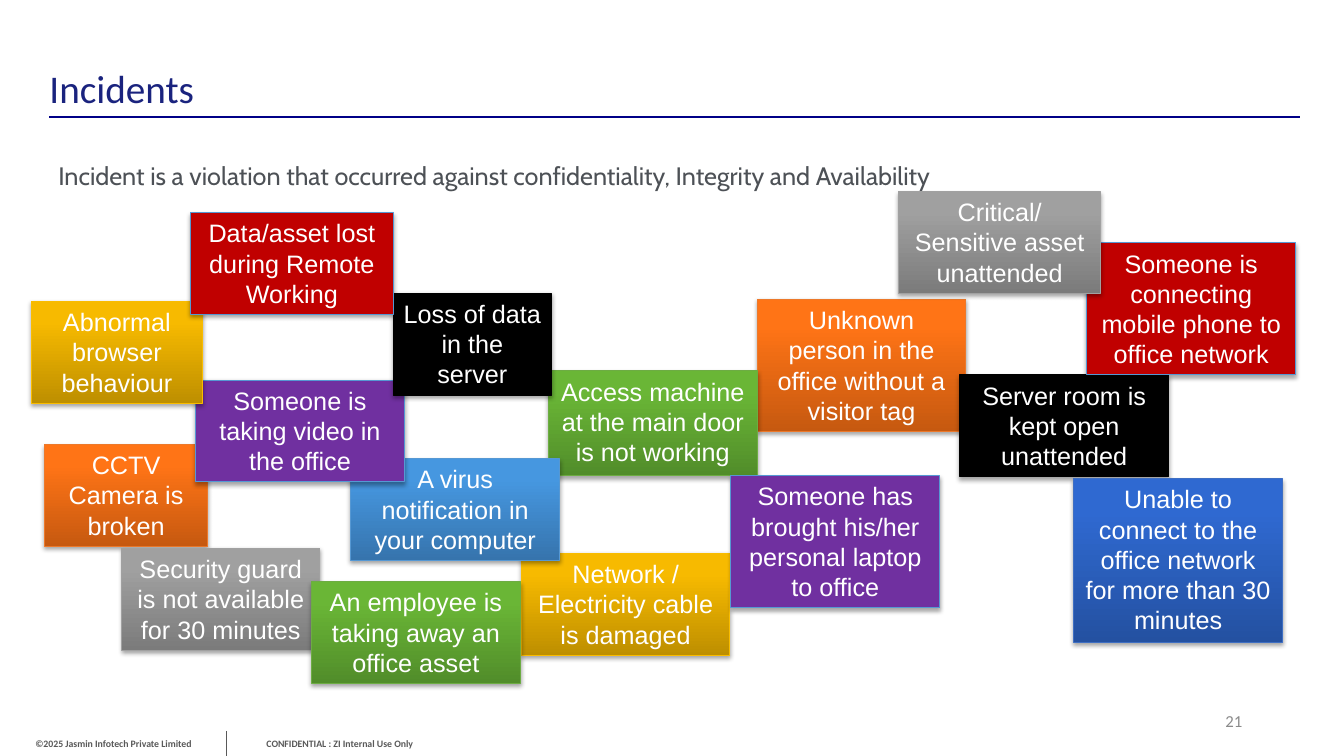
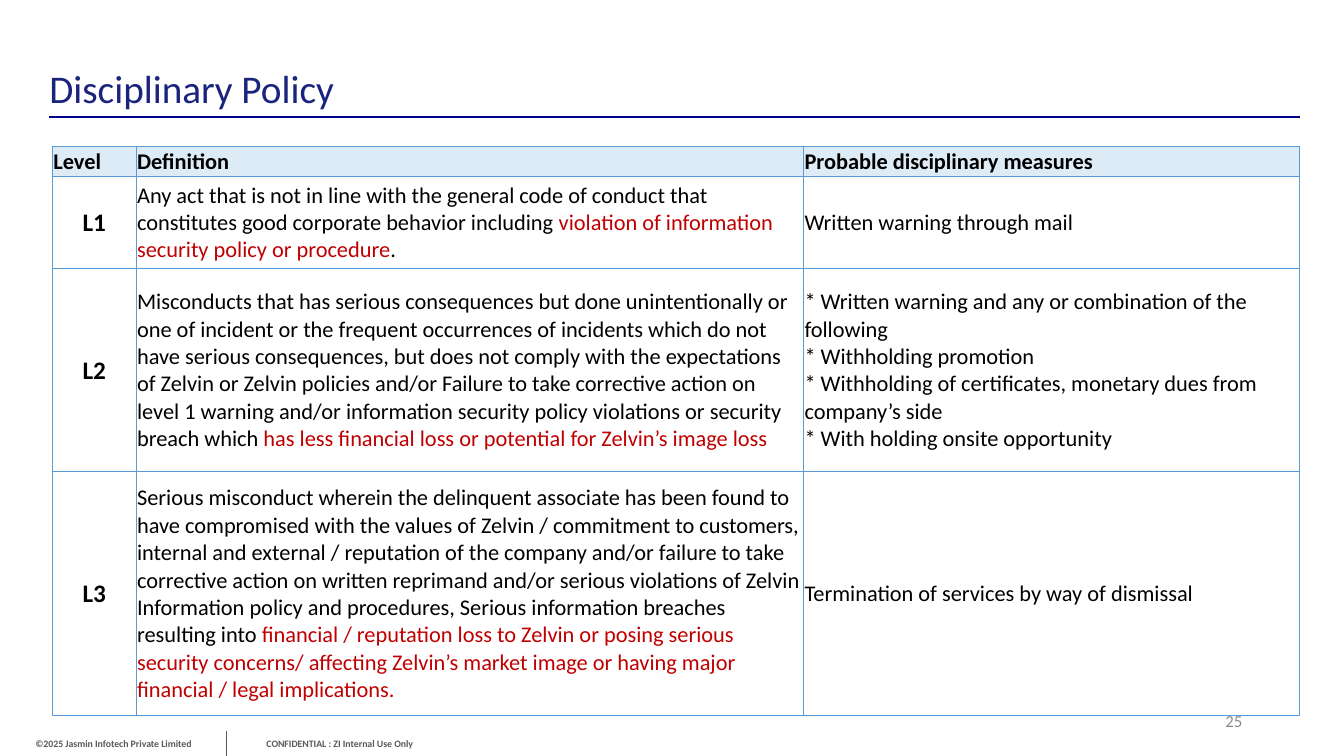
import dataclasses

import lxml.etree
import pptx
import pptx.dml.color
import pptx.enum.shapes
import pptx.enum.text
import pptx.oxml
import pptx.oxml.ns
import pptx.util

Inches = pptx.util.Inches
ALIGN = pptx.enum.text.PP_ALIGN
ANCHOR = pptx.enum.text.MSO_ANCHOR
AUTO_SIZE = pptx.enum.text.MSO_AUTO_SIZE
RECTANGLE = pptx.enum.shapes.MSO_SHAPE.RECTANGLE
STRAIGHT = pptx.enum.shapes.MSO_CONNECTOR.STRAIGHT


@dataclasses.dataclass(frozen=True)
class Theme:
    heading_font: str = "Calibri"
    lead_font: str = "Cabin"
    tile_font: str = "Arial"
    title_size: float = 28
    body_size: float = 18
    table_size: float = 16
    number_size: float = 12
    footer_size: float = 7
    title: str = "1A237E"
    rule: str = "000087"
    lead: str = "4D5156"
    footer: str = "595959"
    number: str = "8B8B8B"
    text: str = "000000"
    light: str = "FFFFFF"
    warning: str = "C00000"
    grid: str = "5B9BD5"
    header_fill: str = "DDEBF7"


THEME = Theme()

# Tile style: bottom colour, top colour, outline
TILE_STYLES = {
    "orange": ("C65910", "FF7416", "EC792B"),
    "grey": ("7B7B7B", "A0A0A0", "A1A1A1"),
    "green": ("518D2A", "6AB636", "6DAC43"),
    "gold": ("BE8F00", "F7BA00", "F9BC00"),
    "sky": ("3674AD", "4697E0", "5698D3"),
    "blue": ("2451A1", "2F69D1", "3F6FC3"),
    "black": ("000000", "000000", "000000"),
    "purple": ("7030A0", "7030A0", "5698D3"),
    "red": ("C00000", "C00000", "5698D3"),
}

# Tile: style, left, top, width, height, text; later tiles lie on top
INCIDENTS = [
    ("orange", 0.44, 4.41, 1.62, 1.01, "CCTV Camera is broken"),
    ("grey", 1.21, 5.44, 1.96, 1.01, "Security guard is not available for 30 minutes"),
    ("orange", 7.51, 2.97, 2.07, 1.31, "Unknown person in the office without a visitor tag"),
    ("green", 5.44, 3.68, 2.07, 1.04, "Access machine at the main door is not working"),
    ("black", 9.52, 3.72, 2.07, 1.01, "Server room is kept open unattended"),
    ("gold", 5.17, 5.49, 2.07, 1.01, "Network / Electricity cable is damaged"),
    ("sky", 3.48, 4.55, 2.07, 1.01, "A virus notification in your computer"),
    ("blue", 10.65, 4.75, 2.07, 1.62,
     "Unable to connect to the office network for more than 30 minutes"),
    ("purple", 1.94, 3.77, 2.07, 1.01, "Someone is taking video in the office"),
    ("red", 10.78, 2.41, 2.07, 1.31, "Someone is connecting mobile phone to office network"),
    ("purple", 7.25, 4.72, 2.07, 1.31, "Someone has brought his/her personal laptop to office"),
    ("green", 3.09, 5.77, 2.07, 1.01, "An employee is taking away an office asset"),
    ("gold", 0.31, 2.99, 1.7, 1.01, "Abnormal browser behaviour"),
    ("black", 3.9, 2.91, 1.57, 1.01, "Loss of data in the server"),
    ("red", 1.89, 2.11, 2.01, 1.01, "Data/asset lost during Remote Working"),
    ("grey", 8.91, 1.9, 2.01, 1.01, "Critical/ Sensitive asset unattended"),
]

POLICY_HEADER = ("Level", "Definition", "Probable disciplinary measures")

# Level, definition as (plain, warning, plain) spans, measures
POLICY_LEVELS = [
    ("L1",
     ("Any act that is not in line with the general code of conduct that constitutes good "
      "corporate behavior including ",
      "violation of information security policy or procedure",
      "."),
     ["Written warning through mail"]),
    ("L2",
     ("Misconducts that has serious consequences but done unintentionally or one of incident "
      "or the frequent occurrences of incidents which do not have serious consequences, but "
      "does not comply with the expectations of Zelvin or Zelvin policies and/or Failure to "
      "take corrective action on level 1 warning and/or information security policy "
      "violations or security breach which ",
      "has less financial loss or potential for Zelvin’s image loss"),
     ["* Written warning and any or combination of the following",
      "* Withholding promotion",
      "* Withholding of certificates, monetary dues from company’s side",
      "* With holding onsite opportunity"]),
    ("L3",
     ("Serious misconduct wherein the delinquent associate has been found to have compromised "
      "with the values of Zelvin / commitment to customers, internal and external / reputation "
      "of the company and/or failure to take corrective action on written reprimand and/or "
      "serious violations of Zelvin Information policy and procedures, Serious information "
      "breaches resulting into ",
      "financial / reputation loss to Zelvin or posing serious security concerns/ affecting "
      "Zelvin’s market image or having major financial / legal implications."),
     ["Termination of services by way of dismissal"]),
]


def color(value):
    return pptx.dml.color.RGBColor.from_string(value)


def set_font(para, name, size, shade, bold=False, align=ALIGN.LEFT):
    para.alignment = align
    para.font.name = name
    para.font.size = pptx.util.Pt(size)
    para.font.color.rgb = color(shade)
    para.font.bold = bold


def set_effects(shape, shadow=False):
    """Give the shape its own effect list, either empty or with a soft drop shadow."""
    effects = lxml.etree.SubElement(
        shape.element.spPr, pptx.oxml.ns.qn("a:effectLst"))
    if shadow:
        effects.append(pptx.oxml.parse_xml(
            f'<a:outerShdw {pptx.oxml.ns.nsdecls("a")} blurRad="40000" dist="23000" '
            'dir="5400000" rotWithShape="0"><a:srgbClr val="000000">'
            '<a:alpha val="35000"/></a:srgbClr></a:outerShdw>'))


def add_text(page, area, text, name, size, shade, anchor=ANCHOR.MIDDLE, **style):
    box = page.shapes.add_textbox(*map(Inches, area))
    frame = box.text_frame
    frame.word_wrap = True
    frame.vertical_anchor = anchor
    frame.text = text
    set_font(frame.paragraphs[0], name, size, shade, **style)
    return box


def add_rule(page, ends, shade, width):
    rule = page.shapes.add_connector(STRAIGHT, *map(Inches, ends))
    rule.line.color.rgb = color(shade)
    rule.line.width = pptx.util.Pt(width)
    set_effects(rule)
    return rule


def furnish_layout(layout, page):
    """Draw the shared footer and title rule on the page, then move them to its layout."""
    footer = (THEME.heading_font, THEME.footer_size, THEME.footer)
    parts = [
        add_text(page, (2.08, 7.27, 2.58, 0.21), "CONFIDENTIAL : ZI Internal Use Only",
                 *footer, bold=True, align=ALIGN.CENTER),
        add_text(page, (0, 7.27, 2.25, 0.22), "©2025 Jasmin Infotech Private Limited",
                 *footer, bold=True, align=ALIGN.CENTER),
        add_rule(page, (2.25, 7.25, 2.25, 7.5), THEME.footer, 0.75),
        add_rule(page, (0.49, 1.16, 12.89, 1.16), THEME.rule, 1.5),
    ]
    for number, part in enumerate(parts, start=101):
        part.element.xpath(".//p:cNvPr")[0].set("id", str(number))
        layout.shapes.element.append(part.element)


def add_page(deck, layout, title, number):
    page = deck.slides.add_slide(layout)
    box = page.shapes.title
    box.left, box.top, box.width, box.height = map(Inches, (0.39, 0.59, 6.66, 0.57))
    frame = box.text_frame
    frame.text = title
    frame.vertical_anchor = ANCHOR.TOP
    frame.auto_size = AUTO_SIZE.SHAPE_TO_FIT_TEXT
    set_font(frame.paragraphs[0], THEME.heading_font, THEME.title_size, THEME.title)
    add_text(page, (9.42, 6.95, 3, 0.4), str(number), THEME.heading_font,
             THEME.number_size, THEME.number, align=ALIGN.RIGHT)
    return page


def add_tile(page, style, left, top, width, height, text):
    bottom_shade, top_shade, outline = TILE_STYLES[style]
    tile = page.shapes.add_shape(RECTANGLE, *map(Inches, (left, top, width, height)))
    if bottom_shade == top_shade:
        tile.fill.solid()
        tile.fill.fore_color.rgb = color(top_shade)
    else:
        tile.fill.gradient()
        tile.fill.gradient_angle = 90
        stops = tile.fill.gradient_stops
        for stop, shade, position in zip(stops, (bottom_shade, top_shade), (0, 0.8)):
            stop.color.rgb = color(shade)
            stop.position = position
    tile.line.color.rgb = color(outline)
    tile.line.width = pptx.util.Pt(0.75)
    set_effects(tile, shadow=True)
    frame = tile.text_frame
    frame.word_wrap = True
    frame.vertical_anchor = ANCHOR.TOP
    frame.text = text
    set_font(frame.paragraphs[0], THEME.tile_font, THEME.body_size, THEME.light,
             align=ALIGN.CENTER)


def fill_incidents(page):
    add_text(page, (0.48, 1.54, 8.94, 0.4),
             "Incident is a violation that occurred against confidentiality, "
             "Integrity and Availability",
             THEME.lead_font, THEME.body_size, THEME.lead, anchor=ANCHOR.TOP)
    for incident in INCIDENTS:
        add_tile(page, *incident)


def format_cell(cell, fill=None):
    properties = cell._tc.get_or_add_tcPr()
    for side in "LRTB":
        properties.append(pptx.oxml.parse_xml(
            f'<a:ln{side} {pptx.oxml.ns.nsdecls("a")} w="6350"><a:solidFill>'
            f'<a:srgbClr val="{THEME.grid}"/></a:solidFill></a:ln{side}>'))
    if fill:
        cell.fill.solid()
        cell.fill.fore_color.rgb = color(fill)
    else:
        cell.fill.background()
    cell.vertical_anchor = ANCHOR.MIDDLE
    cell.margin_left = cell.margin_right = cell.margin_top = Inches(0.01)
    cell.margin_bottom = 0


def write_cell(cell, text, size=THEME.table_size, **style):
    cell.text = text
    for para in cell.text_frame.paragraphs:
        set_font(para, THEME.heading_font, size, THEME.text, **style)


def write_definition(cell, spans):
    para = cell.text_frame.paragraphs[0]
    set_font(para, THEME.heading_font, THEME.table_size, THEME.text)
    for index, text in enumerate(spans):
        span = para.add_run()
        span.text = text
        if index == 1:
            span.font.color.rgb = color(THEME.warning)


def fill_policy(page, left, top, widths, heights):
    area = (left, top, sum(widths), sum(heights))
    table = page.shapes.add_table(
        len(heights), len(widths), *map(Inches, area)).table
    table.first_row = table.horz_banding = False
    for column, width in zip(table.columns, widths):
        column.width = Inches(width)
    for row, height in zip(table.rows, heights):
        row.height = Inches(height)

    for cell, text in zip(table.rows[0].cells, POLICY_HEADER):
        format_cell(cell, THEME.header_fill)
        write_cell(cell, text, bold=True)
    for index, (level, definition, measures) in enumerate(POLICY_LEVELS, start=1):
        cells = list(table.rows[index].cells)
        for cell in cells:
            format_cell(cell)
        write_cell(cells[0], level, THEME.body_size, bold=True, align=ALIGN.CENTER)
        write_definition(cells[1], definition)
        write_cell(cells[2], "\n".join(measures))


def main():
    deck = pptx.Presentation()
    deck.slide_width, deck.slide_height = Inches(13.33), Inches(7.5)
    layout = deck.slide_layouts.get_by_name("Title Only")

    incidents = add_page(deck, layout, "Incidents", 21)
    furnish_layout(layout, incidents)
    fill_incidents(incidents)

    policy = add_page(deck, layout, "Disciplinary Policy", 25)
    fill_policy(policy, 0.52, 1.45, (0.83, 6.62, 4.92), (0.3, 0.91, 2.02, 2.42))

    deck.save("out.pptx")


if __name__ == "__main__":
    main()
